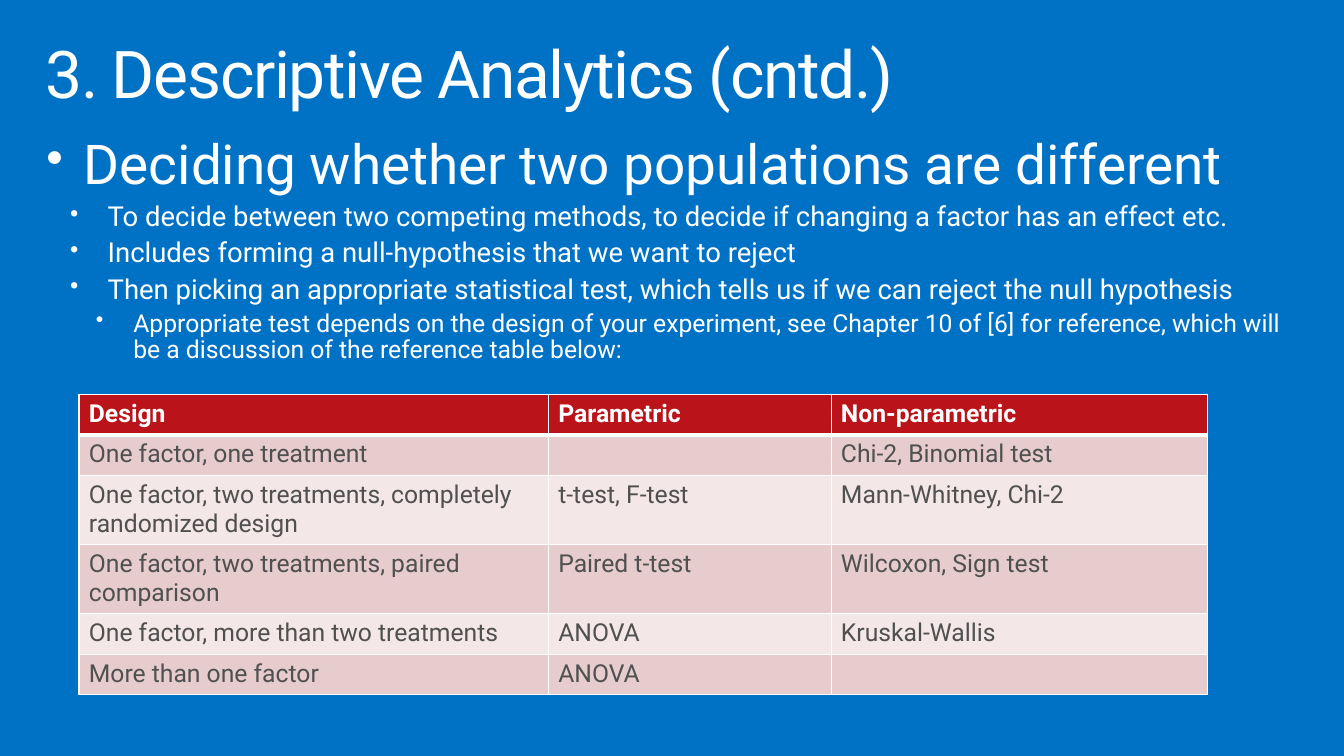
from dataclasses import dataclass

from lxml.etree import SubElement
from pptx import Presentation
from pptx.dml.color import RGBColor
from pptx.enum.text import MSO_ANCHOR
from pptx.oxml.ns import qn
from pptx.slide import Slide
from pptx.table import _Cell
from pptx.text.text import _Paragraph
from pptx.util import Emu, Pt


@dataclass(frozen=True)
class Theme:
    font: str = "Roboto"
    background: str = "0072C6"
    white: str = "FFFFFF"
    header: str = "BA141A"
    bands: tuple[str, str] = ("E7CCCD", "F3E7E8")
    cell_text: str = "505050"
    title_size: int = 48
    level_sizes: tuple[int, ...] = (40, 20, 18)
    table_size: int = 18


@dataclass(frozen=True)
class Box:
    left: int
    top: int
    width: int
    height: int


@dataclass(frozen=True)
class Bullet:
    level: int
    text: str


THEME = Theme()
PX = 9144  # 100 px to the inch
SLIDE_SIZE = (1360, 765)
TITLE_BOX = Box(30, 32, 1300, 100)
BODY_BOX = Box(31, 129, 1300, 367)
TABLE_BOX = Box(80, 399, 1142, 246)
HANGING = 38
LEVEL_INDENTS = (38, 62, 88)
COLUMN_WIDTHS = (475, 286, 381)

TITLE = "3. Descriptive Analytics (cntd.)"
BULLETS = (
    Bullet(0, "Deciding whether two populations are different"),
    Bullet(1, "To decide between two competing methods, to decide if changing "
              "a factor has an effect etc."),
    Bullet(1, "Includes forming a null-hypothesis that we want to reject"),
    Bullet(1, "Then picking an appropriate statistical test, which tells us "
              "if we can reject the null hypothesis"),
    Bullet(2, "Appropriate test depends on the design of your experiment, see "
              "Chapter 10 of [6] for reference, which will be a discussion of "
              "the reference table below:"),
)
TESTS = (
    ("Design", "Parametric", "Non-parametric"),
    ("One factor, one treatment", "", "Chi-2, Binomial test"),
    ("One factor, two treatments, completely randomized design",
     "t-test, F-test", "Mann-Whitney, Chi-2"),
    ("One factor, two treatments, paired comparison",
     "Paired t-test", "Wilcoxon, Sign test"),
    ("One factor, more than two treatments", "ANOVA", "Kruskal-Wallis"),
    ("More than one factor", "ANOVA", ""),
)


def px(n: int) -> Emu:
    return Emu(n * PX)


def place(box: Box) -> tuple[Emu, ...]:
    return px(box.left), px(box.top), px(box.width), px(box.height)


def write(p: _Paragraph, text: str, size: int, color: str,
          bold: bool = False, spacing: int = 0) -> None:
    r = p.add_run()
    r.text = text
    style = {"name": THEME.font, "size": Pt(size), "bold": bold}
    for name, value in style.items():
        setattr(r.font, name, value)
    r.font.color.rgb = RGBColor.from_string(color)
    if spacing:
        r._r.get_or_add_rPr().set("spc", str(spacing))


def add_text_frame(s: Slide, box: Box):
    tf = s.shapes.add_textbox(*place(box)).text_frame
    layout = {"word_wrap": True, "vertical_anchor": MSO_ANCHOR.TOP,
              "margin_left": px(16), "margin_right": px(16),
              "margin_top": px(10), "margin_bottom": px(10)}
    for name, value in layout.items():
        setattr(tf, name, value)
    return tf


def add_title(s: Slide) -> None:
    p = add_text_frame(s, TITLE_BOX).paragraphs[0]
    p.line_spacing = 0.9
    write(p, TITLE, THEME.title_size, THEME.white, spacing=-100)


def add_bullets(s: Slide) -> None:
    tf = add_text_frame(s, BODY_BOX)
    for i, bullet in enumerate(BULLETS):
        p = tf.add_paragraph() if i else tf.paragraphs[0]
        size = THEME.level_sizes[bullet.level]
        pPr = p._p.get_or_add_pPr()
        pPr.set("marL", str(px(LEVEL_INDENTS[bullet.level])))
        pPr.set("indent", str(-px(HANGING)))
        SubElement(pPr, qn("a:buSzPct")).set("val", "90000")
        SubElement(pPr, qn("a:buChar")).set("char", "•")
        p.level = bullet.level
        p.line_spacing = 0.9
        if i:
            p.space_before = Pt(round(size * 0.235, 1))
        write(p, bullet.text, size, THEME.white)


def set_borders(cell: _Cell, widths: dict[str, int]) -> None:
    tcPr = cell._tc.get_or_add_tcPr()
    for side, width in widths.items():
        ln = SubElement(tcPr, qn(f"a:ln{side}"), w=str(Pt(width)))
        fill = SubElement(ln, qn("a:solidFill"))
        SubElement(fill, qn("a:srgbClr")).set("val", THEME.white)


def add_test_table(s: Slide) -> None:
    table = s.shapes.add_table(len(TESTS), len(COLUMN_WIDTHS),
                               *place(TABLE_BOX)).table
    table.horz_banding = False
    for column, width in zip(table.columns, COLUMN_WIDTHS):
        column.width = px(width)
    for i, row in enumerate(TESTS):
        is_header = i == 0
        fill = THEME.header if is_header else THEME.bands[(i - 1) % 2]
        color = THEME.white if is_header else THEME.cell_text
        widths = {"L": 1, "R": 1, "T": 3 if i == 1 else 1,
                  "B": 3 if is_header else 1}
        for j, text in enumerate(row):
            cell = table.cell(i, j)
            set_borders(cell, widths)
            cell.fill.solid()
            cell.fill.fore_color.rgb = RGBColor.from_string(fill)
            if text:
                write(cell.text_frame.paragraphs[0], text, THEME.table_size,
                      color, bold=is_header)


def main() -> None:
    prs = Presentation()
    prs.slide_width, prs.slide_height = map(px, SLIDE_SIZE)
    s = prs.slides.add_slide(prs.slide_layouts[6])

    # Background
    s.background.fill.solid()
    s.background.fill.fore_color.rgb = RGBColor.from_string(THEME.background)

    # Heading, bullet list and table of statistical tests
    add_title(s)
    add_bullets(s)
    add_test_table(s)
    prs.save("out.pptx")


if __name__ == "__main__":
    main()
